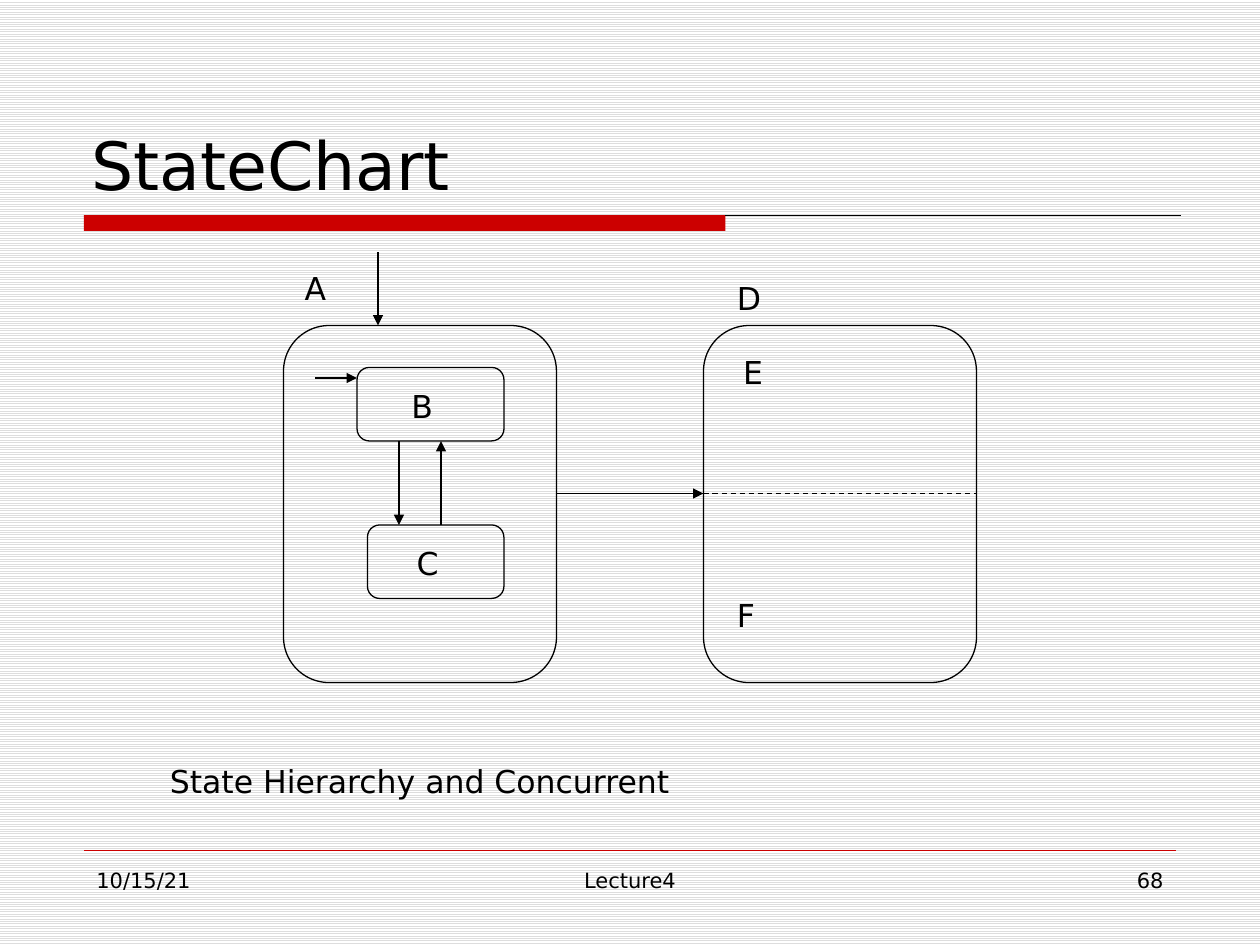
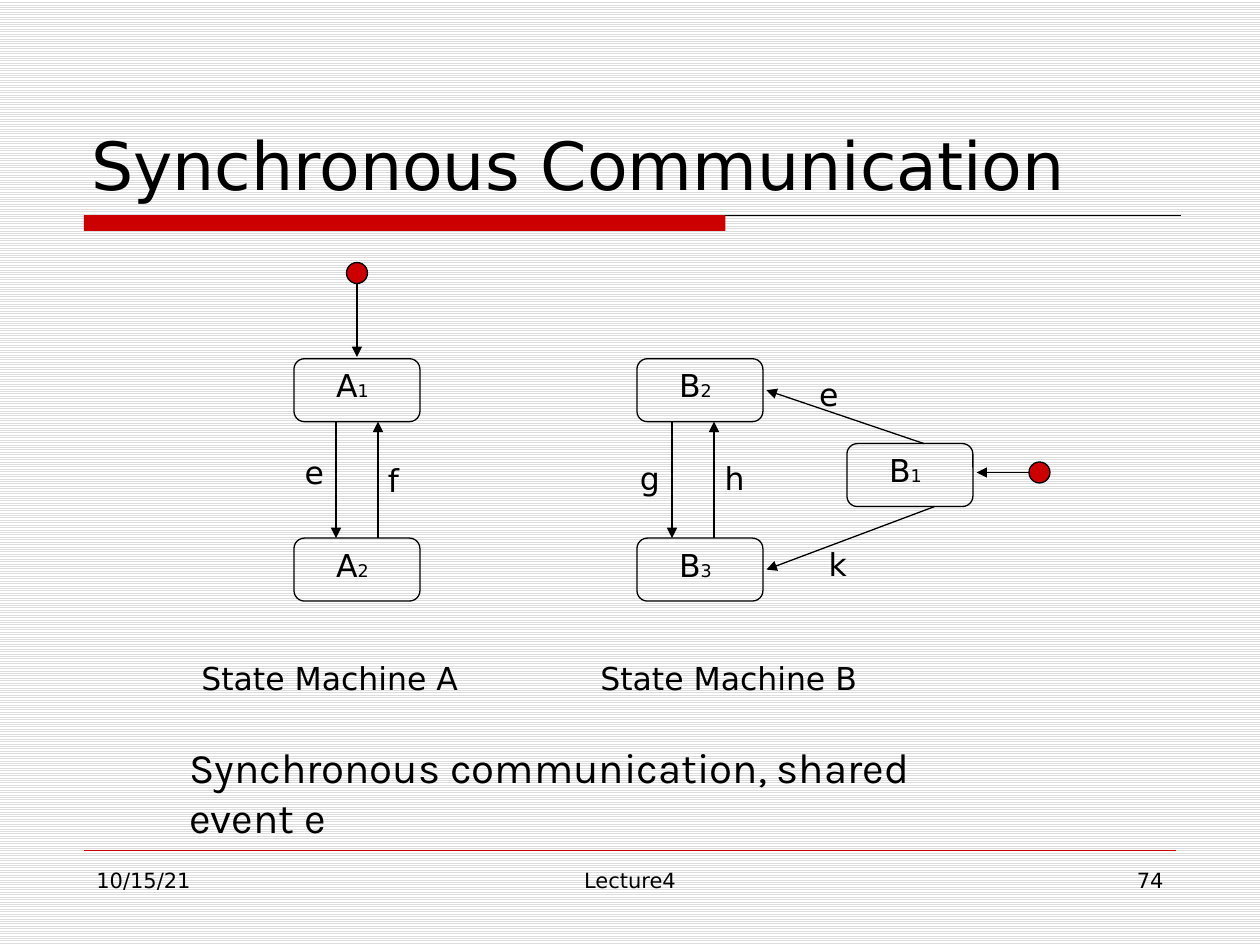
from dataclasses import dataclass

from lxml import etree
from pptx import Presentation
from pptx.dml.color import RGBColor
from pptx.enum.dml import MSO_LINE, MSO_PATTERN
from pptx.enum.shapes import MSO_CONNECTOR, MSO_SHAPE
from pptx.enum.text import MSO_ANCHOR, MSO_AUTO_SIZE, PP_ALIGN
from pptx.oxml.ns import qn
from pptx.presentation import Presentation as Deck
from pptx.slide import Slide
from pptx.util import Pt

STRAIGHT = MSO_CONNECTOR.STRAIGHT
RECTANGLE = MSO_SHAPE.RECTANGLE
ROUNDED = MSO_SHAPE.ROUNDED_RECTANGLE
OVAL = MSO_SHAPE.OVAL
DASH = MSO_LINE.DASH
LIGHT_HORIZONTAL = MSO_PATTERN.LIGHT_HORIZONTAL
LEFT, CENTER, RIGHT = PP_ALIGN.LEFT, PP_ALIGN.CENTER, PP_ALIGN.RIGHT
TOP, BOTTOM = MSO_ANCHOR.TOP, MSO_ANCHOR.BOTTOM
FIT_SHAPE = MSO_AUTO_SIZE.SHAPE_TO_FIT_TEXT
FIXED = MSO_AUTO_SIZE.NONE

COLORS = {"ink": "000000", "accent": "CC0000", "stripe": "DDDDDD", "paper": "FFFFFF"}
FONT = "DejaVu Sans"
NOTE_FONT = "Karla"
BLANK_LAYOUT = 6
CORNER = 0.167
LABEL_HEIGHT = 29
DOT_SIZE = 12
STATE_WIDTH, STATE_HEIGHT = 72, 36


@dataclass(frozen=True)
class Text:
    text: str
    left: float
    top: float
    width: float
    height: float = LABEL_HEIGHT
    size: float = 18
    font: str = FONT
    align: PP_ALIGN = LEFT
    anchor: MSO_ANCHOR = TOP
    wrap: bool = False
    grow: bool = True
    index: str = ""


@dataclass(frozen=True)
class Box:
    left: float
    top: float
    width: float
    height: float
    kind: MSO_SHAPE = ROUNDED
    fill: str = ""
    line: str = "ink"


@dataclass(frozen=True)
class Line:
    x1: float
    y1: float
    x2: float
    y2: float
    arrow: bool = True
    dashed: bool = False
    color: str = "ink"
    weight: float = 0.75


@dataclass(frozen=True)
class State:
    name: str
    index: str
    left: float
    top: float


def rgb(name: str) -> RGBColor:
    return RGBColor.from_string(COLORS[name])


def draw_text(slide: Slide, item: Text) -> None:
    shape = slide.shapes.add_textbox(
        Pt(item.left), Pt(item.top), Pt(item.width), Pt(item.height)
    )
    frame = shape.text_frame
    frame.word_wrap = item.wrap
    frame.auto_size = FIT_SHAPE if item.grow else FIXED
    frame.vertical_anchor = item.anchor
    paragraph = frame.paragraphs[0]
    paragraph.alignment = item.align
    for text, size in ((item.text, item.size), (item.index, 10)):
        if text:
            run = paragraph.add_run()
            run.text = text
            run.font.size = Pt(size)
            run.font.name = item.font
            run.font.color.rgb = rgb("ink")


def draw_box(slide: Slide, item: Box) -> None:
    shape = slide.shapes.add_shape(
        item.kind, Pt(item.left), Pt(item.top), Pt(item.width), Pt(item.height)
    )
    shape.shadow.inherit = False
    if item.kind == ROUNDED:
        shape.adjustments[0] = CORNER
    if item.fill:
        shape.fill.solid()
        shape.fill.fore_color.rgb = rgb(item.fill)
    else:
        shape.fill.background()
    if item.line:
        shape.line.color.rgb = rgb(item.line)
        shape.line.width = Pt(0.75)
    else:
        shape.line.fill.background()


def draw_line(slide: Slide, item: Line) -> None:
    connector = slide.shapes.add_connector(
        STRAIGHT, Pt(item.x1), Pt(item.y1), Pt(item.x2), Pt(item.y2)
    )
    connector.line.color.rgb = rgb(item.color)
    connector.line.width = Pt(item.weight)
    if item.dashed:
        connector.line.dash_style = DASH
    properties = connector._element.spPr
    if item.arrow:
        outline = properties.find(qn("a:ln"))
        etree.SubElement(outline, qn("a:tailEnd"), type="triangle")
    etree.SubElement(properties, qn("a:effectLst"))


def draw_state(slide: Slide, state: State) -> None:
    draw_box(slide, Box(state.left, state.top, STATE_WIDTH, STATE_HEIGHT))
    label = Text(state.name, state.left + 17, state.top + 0.7, 33, index=state.index)
    draw_text(slide, label)


def draw_start(slide: Slide, left: float, top: float) -> None:
    draw_box(slide, Box(left, top, DOT_SIZE, DOT_SIZE, OVAL, fill="accent"))


def add_base_slide(presentation: Deck, title: str, number: str) -> Slide:
    slide = presentation.slides.add_slide(presentation.slide_layouts[BLANK_LAYOUT])
    fill = slide.background.fill
    fill.patterned()
    fill.pattern = LIGHT_HORIZONTAL
    fill.fore_color.rgb = rgb("stripe")
    fill.back_color.rgb = rgb("paper")
    draw_box(slide, Box(48, 123, 366.5, 9, RECTANGLE, fill="accent", line=""))
    draw_line(slide, Line(414.5, 123, 675, 123, arrow=False))
    footer_rule = Line(48, 486, 672, 486, arrow=False, color="accent", weight=0.25)
    draw_line(slide, footer_rule)
    for text, left, width, align in (
        ("10/15/21", 48, 156, LEFT),
        ("Lecture4", 246, 228, CENTER),
        (number, 516, 156, RIGHT),
    ):
        draw_text(
            slide,
            Text(text, left, 492, width, 37.5, 12, align=align, wrap=True, grow=False),
        )
    draw_text(
        slide,
        Text(title, 45, 24, 630, 96, 38, anchor=BOTTOM, wrap=True, grow=False),
    )
    return slide


def build_statechart(presentation: Deck) -> None:
    slide = add_base_slide(presentation, "StateChart", "68")
    draw_text(slide, Text("State Hierarchy and Concurrent", 90, 432, 474, wrap=True))
    for state_box in (
        Box(162, 186, 156, 204),
        Box(402, 186, 156, 204),
        Box(204, 210, 84, 42),
        Box(210, 300, 78, 42),
    ):
        draw_box(slide, state_box)
    for name, left, top, width in (
        ("A", 167, 150, 26.7),
        ("B", 228, 217.5, 26.7),
        ("C", 231, 307.5, 27),
        ("F", 414, 337, 25),
        ("E", 417.5, 198, 26),
        ("D", 414, 156, 28),
    ):
        draw_text(slide, Text(name, left, top, width))
    for transition in (
        Line(228, 252, 228, 300),
        Line(252, 300, 252, 252),
        Line(318, 282, 402, 282),
        Line(402, 282, 558, 282, arrow=False, dashed=True),
        Line(216, 144, 216, 186),
        Line(180, 216, 204, 216),
    ):
        draw_line(slide, transition)


def build_synchronous(presentation: Deck) -> None:
    slide = add_base_slide(presentation, "Synchronous Communication", "74")
    upper, lower = 205, 307.5
    for state in (
        State("A", "1", 168, upper),
        State("A", "2", 168, lower),
        State("B", "2", 364, upper),
        State("B", "3", 364, lower),
        State("B", "1", 484, 253.5),
    ):
        draw_state(slide, state)
    for down in (192, 384):
        draw_line(slide, Line(down, upper + STATE_HEIGHT, down, lower))
        draw_line(slide, Line(down + 24, lower, down + 24, upper + STATE_HEIGHT))
    for transition in (
        Line(528, 253.5, 438, 223),
        Line(534, 289.5, 438, 325.5),
        Line(204, 162, 204, 204),
        Line(588, 270, 558, 270),
    ):
        draw_line(slide, transition)
    draw_start(slide, 198, 150)
    draw_start(slide, 588, 264)
    for event, left, top, width in (
        ("e", 167, 255.5, 25.5),
        ("f", 214.5, 260, 21),
        ("g", 358.5, 259, 26),
        ("h", 407, 259, 26),
        ("k", 466.5, 308, 25),
        ("e", 461, 211, 25.5),
    ):
        draw_text(slide, Text(event, left, top, width))
    for machine, left in (("A", 108), ("B", 336)):
        caption = f"State Machine {machine}"
        draw_text(slide, Text(caption, left, 373, 186, wrap=True))
    note = "Synchronous communication, shared event e"
    draw_text(slide, Text(note, 101, 420, 470, 66, 24, NOTE_FONT, wrap=True))


def main() -> None:
    presentation = Presentation()
    presentation.slide_width = Pt(720)
    presentation.slide_height = Pt(540)
    build_statechart(presentation)
    build_synchronous(presentation)
    presentation.save("out.pptx")


if __name__ == "__main__":
    main()
